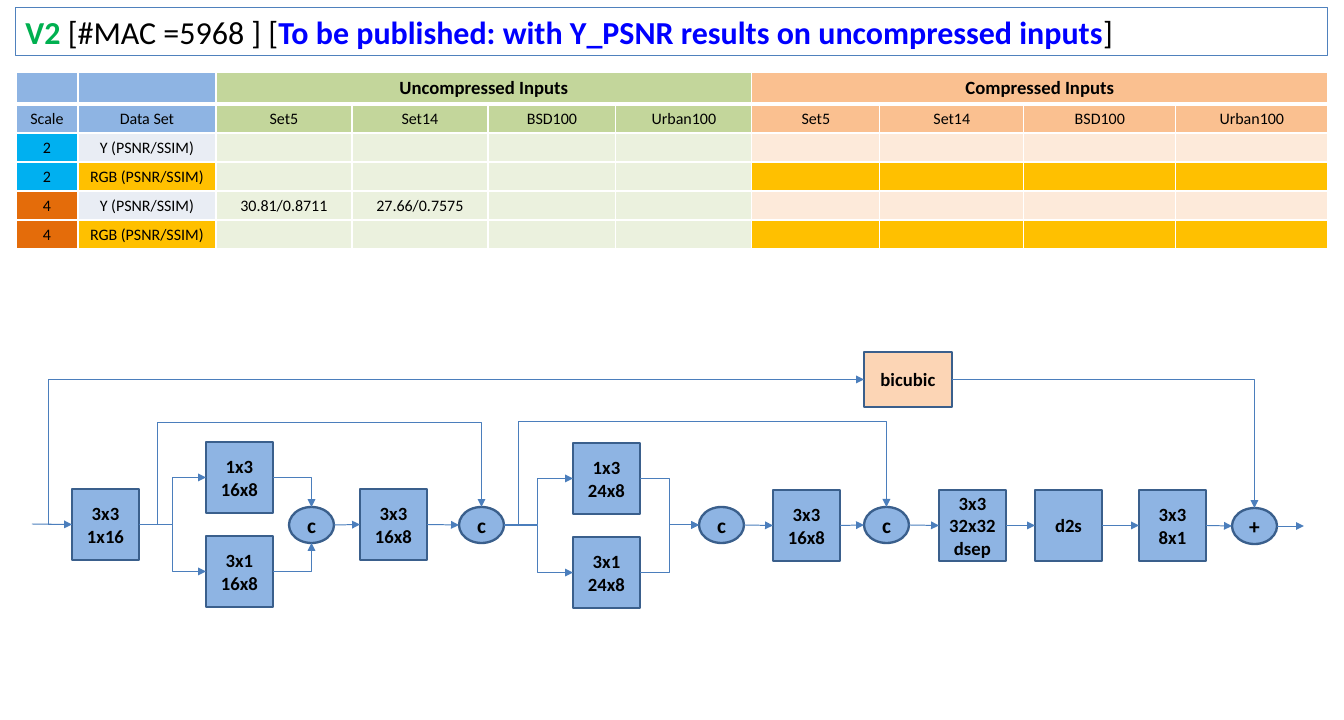
import pptx
import pptx.dml.color
import pptx.enum.shapes
import pptx.enum.text
import pptx.oxml.ns
import pptx.util
from lxml import etree

PIXEL = 9525  # EMU per pixel at 96 pixels to the inch
FONT = "Calibri"
COLORS = {
    "black": "000000", "white": "FFFFFF", "green": "00B050", "royal": "0000FF",
    "title_line": "4F81BD", "arrow": "4B7EBC", "outline": "3A5F8C",
    "blue": "8EB4E3", "peach": "FCD5B5", "olive": "C3D69B", "orange": "FAC090",
    "pale_olive": "EBF1DE", "pale_orange": "FDEADA", "pale_blue": "E9EDF4",
    "amber": "FFC000", "cyan": "00B0F0", "rust": "E46C0A",
}

TITLE_BOX = (16, 8, 1312, 48)
TITLE = [
    ("V2", "green", True),
    (" [#MAC =5968 ] [", "black", False),
    ("To be published: with Y_PSNR results on uncompressed inputs", "royal", True),
    ("]", "black", False),
]

TABLE_ORIGIN = (16, 72)
COLUMN_WIDTHS = [62, 138, 136, 136, 128, 136, 128, 144, 152, 152]
ROW_HEIGHTS = [32] + [29] * 5
DATA_SETS = ["Set5", "Set14", "BSD100", "Urban100"]
TABLE_TEXT = [
    ["", "", "Uncompressed Inputs", "", "", "", "Compressed Inputs", "", "", ""],
    ["Scale", "Data Set"] + DATA_SETS * 2,
    ["2", "Y (PSNR/SSIM)"] + [""] * 8,
    ["2", "RGB (PSNR/SSIM)"] + [""] * 8,
    ["4", "Y (PSNR/SSIM)", "30.81/0.8711", "27.66/0.7575"] + [""] * 6,
    ["4", "RGB (PSNR/SSIM)"] + [""] * 8,
]
# Fills per row: scale, data set, uncompressed group, compressed group
HEADER_FILLS = ("blue", "blue", "olive", "orange")
ROW_FILLS = [HEADER_FILLS, HEADER_FILLS] + [
    fills for scale in ("cyan", "rust") for fills in (
        (scale, "pale_blue", "pale_olive", "pale_orange"),
        (scale, "amber", "pale_olive", "amber"))
]
GROUP_SPANS = (1, 1, 4, 4)
GROUP_STARTS = (2, 6)

BLOCK_SIZE, JOIN_SIZE = (67, 71), (45, 36)
BLOCKS = {  # name: (left, top, lines)
    "first": (72, 489, ["3x3", "1x16"]),
    "row_16": (206, 442, ["1x3", "16x8"]),
    "column_16": (206, 536, ["3x1", "16x8"]),
    "second": (360, 489, ["3x3", "16x8"]),
    "row_24": (573, 443, ["1x3", "24x8"]),
    "column_24": (573, 537, ["3x1", "24x8"]),
    "third": (773, 490, ["3x3", "16x8"]),
    "separable": (939, 490, ["3x3", "32x32", "dsep"]),
    "d2s": (1035, 490, ["d2s"]),
    "last": (1139, 490, ["3x3", "8x1"]),
}
JOINS = {
    "concat_1": (289, 507, ["c"]), "concat_2": (459, 507, ["c"]),
    "concat_3": (699, 507, ["c"]), "concat_4": (864, 507, ["c"]),
    "sum": (1232, 508, ["+"]),
}
BICUBIC = (864, 352, 88, 55)

STRAIGHT_ARROWS = [
    ((32, 524), "first"), ("concat_1", "second"), ("second", "concat_2"),
    ("concat_3", "third"), ("third", "concat_4"), ("concat_4", "separable"),
    ("separable", "d2s"), ("d2s", "last"), ("last", "sum"), ("sum", (1304, 526)),
]
BENT_ARROWS = [  # start, side, end, side, preset, bend position (x, then y)
    ("first", "right", "row_16", "left", "bentConnector3", (172,)),
    ("first", "right", "column_16", "left", "bentConnector3", (172,)),
    ("row_16", "right", "concat_1", "top", "bentConnector2", ()),
    ("column_16", "right", "concat_1", "bottom", "bentConnector2", ()),
    ("first", "right", "concat_2", "top", "bentConnector4", (157, 423)),
    ("concat_2", "right", "concat_4", "top", "bentConnector4", (519, 422)),
    ("concat_2", "right", "row_24", "left", "bentConnector3", (538,)),
    ("concat_2", "right", "column_24", "left", "bentConnector3", (538,)),
    ("row_24", "right", "concat_3", "left", "bentConnector3", (669,)),
    ("column_24", "right", "concat_3", "left", "bentConnector3", (669,)),
    ("first", "left", "bicubic", "left", "bentConnector3", (48,)),
    ("bicubic", "right", "sum", "top", "bentConnector2", ()),
]
SIDES = {"top": (0.5, 0), "left": (0, 0.5), "bottom": (0.5, 1), "right": (1, 0.5)}
SHAPE_TYPES = pptx.enum.shapes.MSO_SHAPE
CENTER = pptx.enum.text.PP_ALIGN.CENTER
MIDDLE = pptx.enum.text.MSO_ANCHOR.MIDDLE


def emu(*pixels):
    """Turn pixel lengths into EMU."""
    return [round(value * PIXEL) for value in pixels]


def rgb(name):
    """Look up a colour."""
    return pptx.dml.color.RGBColor.from_string(COLORS[name])


def child(parent, tag, **attributes):
    """Append a DrawingML element."""
    element = etree.SubElement(parent, pptx.oxml.ns.qn("a:" + tag))
    for name, value in attributes.items():
        element.set(name, str(value))
    return element


def add_run(paragraph, text, size, color="black", bold=True):
    """Add a formatted run."""
    run = paragraph.add_run()
    run.text = text
    formats = {"name": FONT, "size": pptx.util.Pt(size), "bold": bold}
    for name, value in formats.items():
        setattr(run.font, name, value)
    run.font.color.rgb = rgb(color)


def add_node(slide, kind, box, lines, size, fill="blue"):
    """Add an outlined diagram node with centred lines of text."""
    node = slide.shapes.add_shape(kind, *emu(*box))
    node.shadow.inherit = False
    node.fill.solid()
    node.fill.fore_color.rgb = rgb(fill)
    node.line.color.rgb = rgb("outline")
    node.line.width = pptx.util.Pt(1.75)
    frame = node.text_frame
    frame.vertical_anchor = MIDDLE
    for index, line in enumerate(lines):
        paragraph = frame.add_paragraph() if index else frame.paragraphs[0]
        paragraph.alignment = CENTER
        add_run(paragraph, line, size)
    return node


def add_arrow(slide, nodes, start, start_side, end, end_side, preset="line", bends=()):
    """Add an arrow between nodes or free points, glued to its nodes."""
    points, glue = [], []
    for place, side, tag in ((start, start_side, "stCxn"), (end, end_side, "endCxn")):
        if isinstance(place, tuple):
            points += emu(*place)
            continue
        node = nodes[place]
        across, down = SIDES[side]
        points += [round(node.left + node.width * across),
                   round(node.top + node.height * down)]
        step = 2 if node.auto_shape_type == SHAPE_TYPES.OVAL else 1
        glue.append((tag, node.shape_id, list(SIDES).index(side) * step))
    types = pptx.enum.shapes.MSO_CONNECTOR
    connector = slide.shapes.add_connector(
        types.ELBOW if preset.startswith("bent") else types.STRAIGHT, *points)
    for tag, shape_id, site in glue:
        child(connector._element.nvCxnSpPr.cNvCxnSpPr, tag, id=shape_id, idx=site)
    geometry = connector._element.spPr.find(pptx.oxml.ns.qn("a:prstGeom"))
    geometry.set("prst", preset)
    adjustments = geometry.find(pptx.oxml.ns.qn("a:avLst"))
    for axis, bend in enumerate(emu(*bends)):
        ratio = (bend - points[axis]) / (points[axis + 2] - points[axis])
        child(adjustments, "gd", name=f"adj{axis + 1}", fmla=f"val {round(ratio * 100000)}")
    connector.line.color.rgb = rgb("arrow")
    connector.line.width = pptx.util.Pt(0.75)
    child(connector.line._get_or_add_ln(), "tailEnd", type="triangle")
    child(connector._element.spPr, "effectLst")


def format_cell(cell, row, text, fill):
    """Fill a cell and give it white borders and centred text."""
    properties = cell._tc.get_or_add_tcPr()
    thick = {0: "lnB", 1: "lnT"}.get(row)
    for side in ("lnL", "lnR", "lnT", "lnB"):
        border = child(properties, side, w=pptx.util.Pt(3 if side == thick else 1))
        child(child(border, "solidFill"), "srgbClr", val=COLORS["white"])
    cell.fill.solid()
    cell.fill.fore_color.rgb = rgb(fill)
    cell.vertical_anchor = MIDDLE
    paragraph = cell.text_frame.paragraphs[0]
    paragraph.alignment = CENTER
    if text:
        add_run(paragraph, text, 12 if row else 14, bold=row == 0)
    else:
        child(paragraph._p, "endParaRPr", sz=1200)


def add_results(slide):
    """Add the results table."""
    size = (sum(COLUMN_WIDTHS), sum(ROW_HEIGHTS))
    table = slide.shapes.add_table(
        len(ROW_HEIGHTS), len(COLUMN_WIDTHS), *emu(*TABLE_ORIGIN, *size)).table
    table.first_row = table.horz_banding = False
    for column, width in zip(table.columns, emu(*COLUMN_WIDTHS)):
        column.width = width
    for row, height in zip(table.rows, emu(*ROW_HEIGHTS)):
        row.height = height
    for row, (texts, fills) in enumerate(zip(TABLE_TEXT, ROW_FILLS)):
        cell_fills = [fill for fill, span in zip(fills, GROUP_SPANS) for _ in range(span)]
        for column, (text, fill) in enumerate(zip(texts, cell_fills)):
            format_cell(table.cell(row, column), row, text, fill)
    for start in GROUP_STARTS:
        table.cell(0, start).merge(table.cell(0, start + 3))


presentation = pptx.Presentation()
presentation.slide_width, presentation.slide_height = emu(1344, 720)
slide = presentation.slides.add_slide(presentation.slide_layouts[6])

title = slide.shapes.add_textbox(*emu(*TITLE_BOX))
title.text_frame.word_wrap = True
title.line.color.rgb = rgb("title_line")
title.line.width = pptx.util.Pt(0.75)
for text, color, bold in TITLE:
    add_run(title.text_frame.paragraphs[0], text, 24, color, bold)

add_results(slide)

nodes = {"bicubic": add_node(slide, SHAPE_TYPES.RECTANGLE, BICUBIC, ["bicubic"], 14, "peach")}
for group, kind, size, points in ((BLOCKS, SHAPE_TYPES.RECTANGLE, BLOCK_SIZE, 14),
                                  (JOINS, SHAPE_TYPES.OVAL, JOIN_SIZE, 16)):
    for name, (left, top, lines) in group.items():
        nodes[name] = add_node(slide, kind, (left, top, *size), lines, points)
for start, end in STRAIGHT_ARROWS:
    add_arrow(slide, nodes, start, "right", end, "left")
for arrow in BENT_ARROWS:
    add_arrow(slide, nodes, *arrow)

presentation.save("out.pptx")
